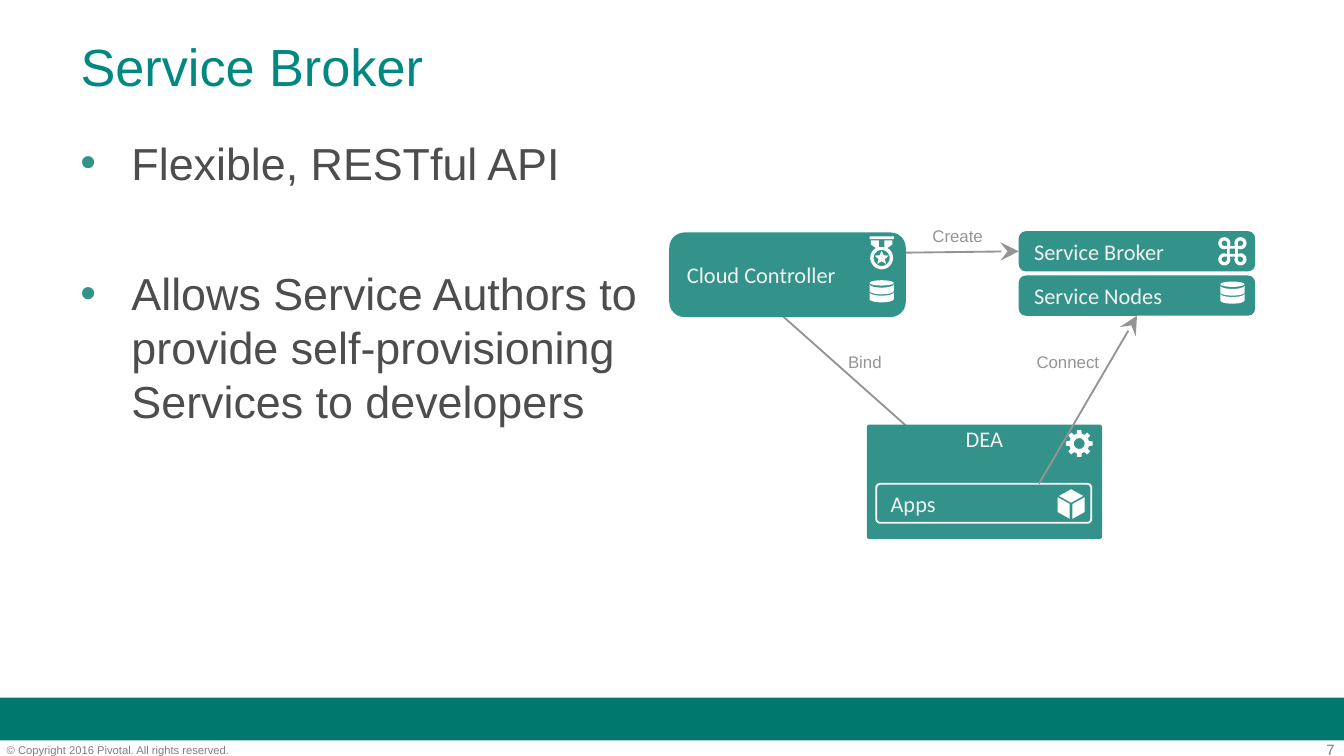
import math
from lxml import etree
from pptx import Presentation
from pptx.dml.color import RGBColor
from pptx.enum import shapes, text
from pptx.oxml import ns
from pptx.util import Inches, Pt

TEAL = RGBColor(0x33, 0x92, 0x8A)
BAND = RGBColor(0x00, 0x78, 0x6E)
TITLE = RGBColor(0x00, 0x88, 0x81)
BODY = RGBColor(0x4D, 0x4D, 0x4D)
GREY = RGBColor(0x94, 0x94, 0x94)
FOOT = RGBColor(0x7F, 0x7F, 0x7F)
PALE = RGBColor(0xF2, 0xF2, 0xF2)
WHITE = RGBColor(0xFF, 0xFF, 0xFF)

# Content: places are left, top, width, height in inches
HEADING = "Service Broker"
BULLETS = [
    ("Flexible, RESTful API", 0),
    ("Allows Service Authors to provide self-provisioning Services to developers", 41),
]
BOXES = [  # label, place, corner, filled
    ("DEA", (6.45, 3.16, 1.75, 0.85), 0.02, True),
    ("Apps", (6.52, 3.6, 1.6, 0.29), 0.1, False),
    ("Service Broker", (7.58, 1.72, 1.76, 0.3), 0.18, True),
    ("Service Nodes", (7.58, 2.05, 1.76, 0.3), 0.18, True),
    ("Cloud Controller", (4.98, 1.73, 1.76, 0.63), 0.18, True),
]
LABELS = [
    ("Create", (6.83, 1.63, 0.59, 0.27)),
    ("Connect", (7.6, 2.57, 0.69, 0.27)),
    ("Bind", (6.2, 2.57, 0.47, 0.27)),
]
COPYRIGHT = "© Copyright 2016 Pivotal. All rights reserved."
PAGE_NUMBER = "7"

# A 16:9 page
deck = Presentation()
deck.slide_width = Inches(10)
deck.slide_height = Inches(10) * 9 // 16
page = deck.slides.add_slide(deck.slide_layouts[5])


def style(para, size, color, font="Arial", align=text.PP_ALIGN.LEFT):
    para.alignment = align
    para.font.size, para.font.name = Pt(size), font
    para.font.color.rgb = color


def add_text(words, place, size, color, align=text.PP_ALIGN.LEFT, inset=True):
    box = page.shapes.add_textbox(*map(Inches, place))
    frame = box.text_frame
    frame.word_wrap = True
    if not inset:
        frame.margin_left = frame.margin_right = frame.margin_top = frame.margin_bottom = 0
    frame.text = words
    style(frame.paragraphs[0], size, color, align=align)


def add_bullet(para):
    props = para._p.get_or_add_pPr()
    props.set("marL", str(Inches(0.38)))
    props.set("indent", str(-Inches(0.38)))
    color = etree.SubElement(props, ns.qn("a:buClr"))
    etree.SubElement(color, ns.qn("a:srgbClr")).set("val", str(TEAL))
    etree.SubElement(props, ns.qn("a:buFont")).set("typeface", "Arial")
    etree.SubElement(props, ns.qn("a:buChar")).set("char", "•")


def add_arrow(start, end):
    arrow = page.shapes.add_connector(
        shapes.MSO_CONNECTOR.STRAIGHT, *map(Inches, start + end))
    arrow.line.color.rgb, arrow.line.width = GREY, Pt(1)
    head = etree.SubElement(arrow.line._get_or_add_ln(), ns.qn("a:tailEnd"))
    for key, value in (("type", "stealth"), ("w", "lg"), ("len", "lg")):
        head.set(key, value)
    etree.SubElement(arrow._element.spPr, ns.qn("a:effectLst"))
    return arrow


def add_box(label, place, corner, filled):
    box = page.shapes.add_shape(shapes.MSO_SHAPE.ROUNDED_RECTANGLE, *map(Inches, place))
    box.shadow.inherit = False
    box.adjustments[0] = corner
    if filled:
        box.fill.solid()
        box.fill.fore_color.rgb = TEAL
        box.line.fill.background()
    else:
        box.fill.background()
        box.line.color.rgb, box.line.width = WHITE, Pt(1)
    frame = box.text_frame
    frame.margin_top = frame.margin_bottom = 0
    frame.text = label
    holder = label == "DEA"
    frame.vertical_anchor = text.MSO_ANCHOR.TOP if holder else text.MSO_ANCHOR.MIDDLE
    align = text.PP_ALIGN.CENTER if holder else text.PP_ALIGN.LEFT
    style(frame.paragraphs[0], 12, PALE, "Calibri", align)
    return box


# Icon outlines: lists of contours around a centre at 0, 0
def arc(x, y, rx, ry, start, end, steps=24):
    angles = [math.radians(start + (end - start) * i / steps) for i in range(steps + 1)]
    return [(x + rx * math.cos(a), y + ry * math.sin(a)) for a in angles]


def circle(r):
    return arc(0, 0, r, r, 0, 360)


def turn(points, quarters):
    for _ in range(quarters):
        points = [(-y, x) for x, y in points]
    return points


def disks():
    bands = [arc(0, y, 0.09, 0.025, 180, 0) + arc(0, y + 0.05, 0.09, 0.025, 0, 180)
             for y in (-0.055, 0.005)]
    return bands + [arc(0, -0.065, 0.09, 0.02, 0, 360)]


def gear():
    teeth = []
    for k in range(8):
        teeth += [(r * math.cos(a), r * math.sin(a)) for r, a in (
            (radius, math.radians(45 * k + offset))
            for radius, offset in ((0.075, -14), (0.1, -9), (0.1, 9), (0.075, 14)))]
    return [teeth, circle(0.04)]


def cube():
    side = [(-0.1, -0.05), (-0.01, 0), (-0.01, 0.11), (-0.1, 0.06)]
    top = [(0, -0.11), (0.09, -0.06), (0, -0.01), (-0.09, -0.06)]
    return [side, [(-x, y) for x, y in side], top]


def command():
    lobe = [(0.02, -0.04)] + arc(0.06, -0.06, 0.045, 0.045, 180, 450) + [(0.04, -0.02)]
    eye = arc(0.06, -0.06, 0.02, 0.02, 180, 450) + [(0.04, -0.04)]
    outline = [point for k in range(4) for point in turn(lobe, k)]
    core = [(-0.02, -0.02), (0.02, -0.02), (0.02, 0.02), (-0.02, 0.02)]
    return [outline, core] + [turn(eye, k) for k in range(4)]


def medal():
    ribbon = [(-0.08, -0.1), (-0.08, -0.13), (-0.02, -0.13), (-0.02, -0.08),
              (0.02, -0.08), (0.02, -0.13), (0.08, -0.13), (0.08, -0.1)]
    star = [(r * math.sin(math.pi * k / 5), -r * math.cos(math.pi * k / 5))
            for k in range(10) for r in [0.025 if k % 2 else 0.055]]
    bar = [(-0.09, -0.16), (0.09, -0.16), (0.09, -0.14), (-0.09, -0.14)]
    return [arc(0, 0, 0.085, 0.085, -60, 240) + ribbon, circle(0.06), star, bar]


def add_icon(contours, x, y):
    placed = [[((x + dx) * 1000, (y + dy) * 1000) for dx, dy in c] for c in contours]
    builder = page.shapes.build_freeform(*placed[0][0], scale=Inches(1) / 1000)
    for number, points in enumerate(placed):
        if number:
            builder.move_to(*points[0])
        builder.add_line_segments(points[1:], close=True)
    icon = builder.convert_to_shape()
    icon.shadow.inherit = False
    icon.fill.solid()
    icon.fill.fore_color.rgb = WHITE
    icon.line.fill.background()


# Footer
band = page.shapes.add_shape(
    shapes.MSO_SHAPE.RECTANGLE, *map(Inches, (0, 5.19, 10, 0.32)))
band.shadow.inherit = False
band.fill.solid()
band.fill.fore_color.rgb = BAND
band.line.fill.background()
add_text(PAGE_NUMBER, (9.35, 5.51, 0.58, 0.13), 8, FOOT, text.PP_ALIGN.RIGHT, False)
add_text(COPYRIGHT, (0.05, 5.53, 2.49, 0.1), 6, FOOT, inset=False)

# Title and bullets
title = page.shapes.title
title.left, title.top, title.width, title.height = map(Inches, (0.5, 0.02, 9, 0.94))
title.text_frame.text = HEADING
title.text_frame.vertical_anchor = text.MSO_ANCHOR.MIDDLE
style(title.text_frame.paragraphs[0], 28, TITLE)

body = page.shapes.add_textbox(*map(Inches, (0.5, 0.96, 4.42, 4.07))).text_frame
body.word_wrap = True
for number, (words, gap) in enumerate(BULLETS):
    para = body.add_paragraph() if number else body.paragraphs[0]
    para.text = words
    if gap:
        para.space_before = Pt(gap)
    add_bullet(para)
    style(para, 24, BODY)

# Diagram: the bind arrow runs behind the boxes
add_arrow((5.81, 2.34), (7.25, 3.62))
boxes = {}
for label, *rest in BOXES:
    boxes[label] = add_box(label, *rest)
for contours, x, y in [(cube(), 7.97, 3.75), (gear(), 8.03, 3.3), (command(), 9.17, 1.87),
                       (disks(), 9.17, 2.18), (medal(), 6.56, 1.92), (disks(), 6.56, 2.17)]:
    add_icon(contours, x, y)
add_arrow((6.74, 1.88), (7.58, 1.87)).end_connect(boxes["Service Broker"], 1)
add_arrow((7.73, 3.6), (8.46, 2.35)).end_connect(boxes["Service Nodes"], 2)
for words, place in LABELS:
    add_text(words, place, 9, GREY, text.PP_ALIGN.CENTER)

deck.save("out.pptx")
